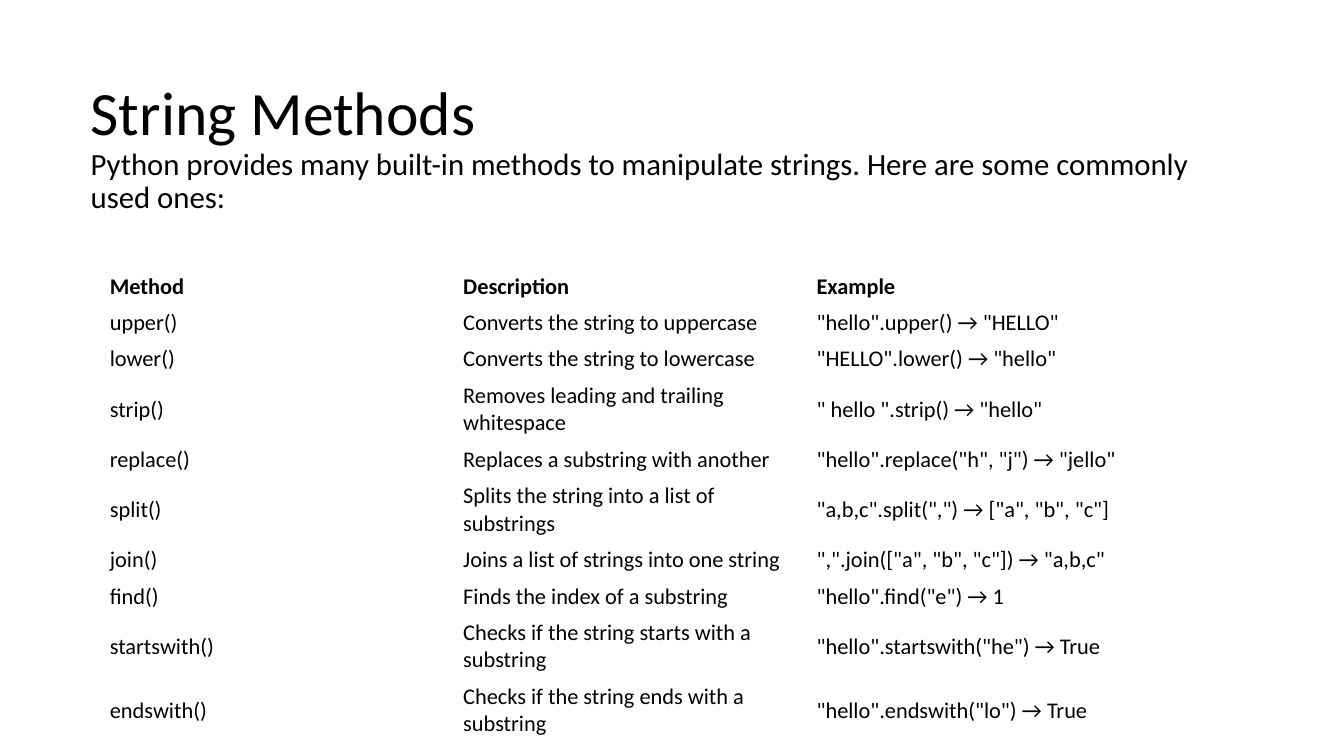
from pptx import Presentation
from pptx.dml.color import RGBColor
from pptx.enum.text import MSO_ANCHOR, MSO_AUTO_SIZE, PP_ALIGN
from pptx.util import Pt

MIDDLE = MSO_ANCHOR.MIDDLE
NO_FIT = MSO_AUTO_SIZE.NONE
LEFT = PP_ALIGN.LEFT

SCALE = 4572
FONT = "Calibri"
BLACK = "000000"
TITLE_ONLY = 5

TITLE = "String Methods"
INTRO = ("Python provides many built-in methods to manipulate strings. "
         "Here are some commonly used ones:")
HEADER = ("Method", "Description", "Example")
METHODS = [
    ("upper()", "Converts the string to uppercase", '"hello".upper()', '"HELLO"'),
    ("lower()", "Converts the string to lowercase", '"HELLO".lower()', '"hello"'),
    ("strip()", "Removes leading and trailing whitespace", '" hello ".strip()', '"hello"'),
    ("replace()", "Replaces a substring with another", '"hello".replace("h", "j")', '"jello"'),
    ("split()", "Splits the string into a list of substrings", '"a,b,c".split(",")', '["a", "b", "c"]'),
    ("join()", "Joins a list of strings into one string", '",".join(["a", "b", "c"])', '"a,b,c"'),
    ("find()", "Finds the index of a substring", '"hello".find("e")', "1"),
    ("startswith()", "Checks if the string starts with a substring", '"hello".startswith("he")', "True"),
    ("endswith()", "Checks if the string ends with a substring", '"hello".endswith("lo")', "True"),
]
ONE_LINE, TWO_LINES = 62, 110
WRAPPED = ("strip()", "split()", "startswith()", "endswith()")


def px(n):
    return n * SCALE


def color(hex_code):
    return RGBColor.from_string(hex_code)


def set_font(font, size, bold=False):
    font.name = FONT
    font.size = Pt(size)
    font.bold = bold
    font.color.rgb = color(BLACK)


def add_heading(s, x, y, w, h):
    title = s.shapes.title
    title.left, title.top, title.width, title.height = map(px, (x, y, w, h))
    tf = title.text_frame
    tf.word_wrap = True
    tf.auto_size = NO_FIT
    tf.vertical_anchor = MIDDLE
    p = tf.paragraphs[0]
    p.alignment = LEFT
    p.line_spacing = 0.9
    for text, size in ((TITLE, 44), (INTRO, 22)):
        if p.runs:
            p.add_line_break()
        r = p.add_run()
        r.text = text
        set_font(r.font, size)


def fill_cell(cell, text, bold):
    cell.fill.background()
    cell.vertical_anchor = MIDDLE
    cell.margin_left = cell.margin_right = px(18)
    cell.margin_top = cell.margin_bottom = px(9)
    cell.text = text
    set_font(cell.text_frame.paragraphs[0].font, 16, bold)


def add_methods(s, x, y, w):
    rows = [HEADER] + [(name, use, f"{call} → {result}")
                       for name, use, call, result in METHODS]
    heights = [TWO_LINES if row[0] in WRAPPED else ONE_LINE for row in rows]
    table = s.shapes.add_table(len(rows), len(HEADER), px(x), px(y),
                               px(w), px(sum(heights))).table
    table.first_row = table.horz_banding = False
    for i, (row, height) in enumerate(zip(rows, heights)):
        table.rows[i].height = px(height)
        for j, text in enumerate(row):
            fill_cell(table.cell(i, j), text, bold=i == 0)


def main():
    prs = Presentation()
    prs.slide_width, prs.slide_height = px(2667), px(1500)
    s = prs.slides.add_slide(prs.slide_layouts[TITLE_ONLY])
    add_heading(s, 160, 150, 2300, 290)
    add_methods(s, 200, 532, 2104)
    prs.save("out.pptx")


if __name__ == "__main__":
    main()
